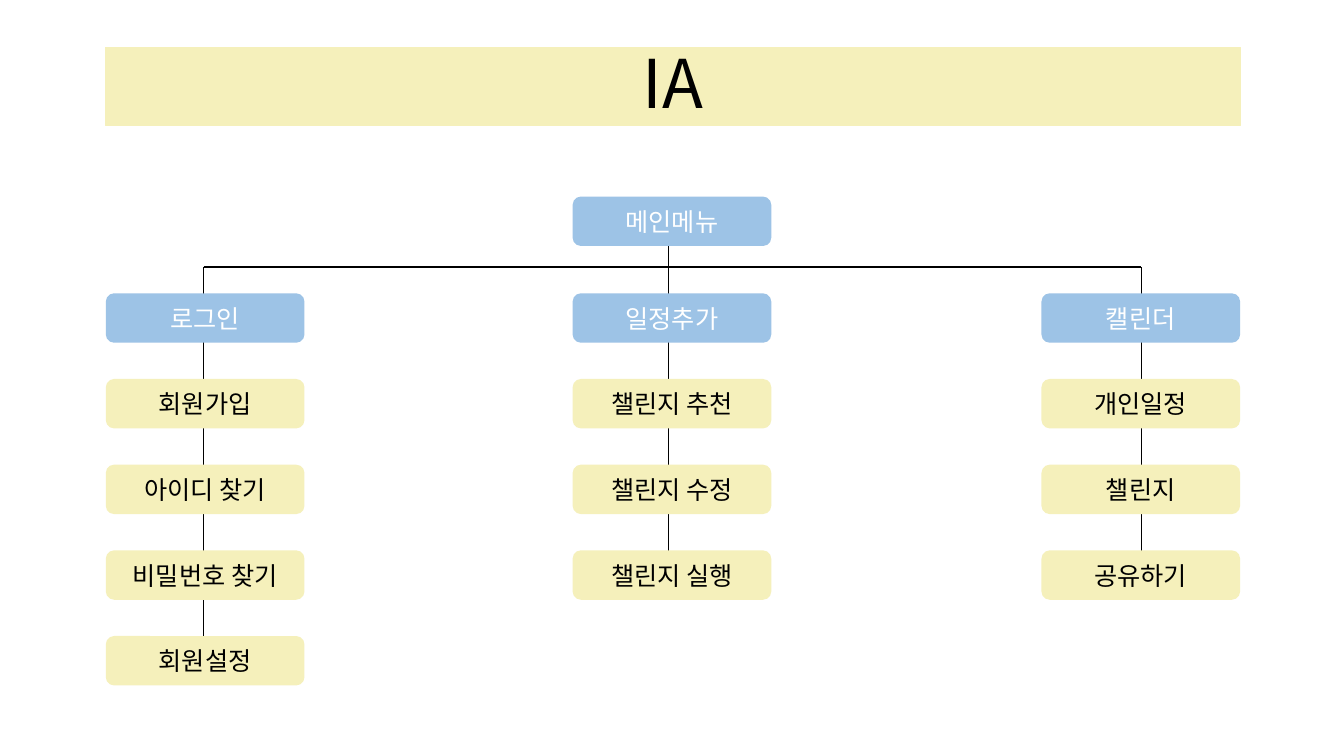
import pptx
import pptx.util
import pptx.dml.color
import pptx.enum.shapes
import pptx.enum.text
import pptx.oxml.ns
import lxml.etree

Inches = pptx.util.Inches
Pt = pptx.util.Pt
RGB = pptx.dml.color.RGBColor
KIND = pptx.enum.shapes.MSO_SHAPE

CREAM = RGB(0xF5, 0xF0, 0xBB)
BLUE = RGB(0x9D, 0xC3, 0xE6)
BLACK = RGB(0, 0, 0)
WHITE = RGB(0xFF, 0xFF, 0xFF)
FONT = "Noto Sans CJK KR"

BOX_W, BOX_H = 1.97, 0.49
STEP = 0.85
ROOT_TOP, HEAD_TOP, BUS = 1.95, 2.91, 2.65

# left edge, trunk x, trunk top, labels
COLUMNS = [
    (1.05, 2.02, BUS, ["로그인", "회원가입", "아이디 찾기", "비밀번호 찾기", "회원설정"]),
    (5.68, 6.63, 2.19, ["일정추가", "챌린지 추천", "챌린지 수정", "챌린지 실행"]),
    (10.33, 11.32, BUS, ["캘린더", "개인일정", "챌린지", "공유하기"]),
]


def add_label(slide, kind, box, text, fill, color, size):
    """Add a filled shape with one centred run and return it."""
    shape = slide.shapes.add_shape(kind, *[Inches(v) for v in box])
    shape.shadow.inherit = False
    shape.fill.solid()
    shape.fill.fore_color.rgb = fill
    shape.line.fill.background()
    frame = shape.text_frame
    frame.word_wrap = True
    frame.vertical_anchor = pptx.enum.text.MSO_ANCHOR.MIDDLE
    para = frame.paragraphs[0]
    para.alignment = pptx.enum.text.PP_ALIGN.CENTER
    run = para.add_run()
    run.text = text
    run.font.size = Pt(size)
    run.font.name = FONT
    run.font.color.rgb = color
    props = run._r.get_or_add_rPr()
    asian = lxml.etree.SubElement(props, pptx.oxml.ns.qn("a:ea"))
    asian.set("typeface", FONT)
    return shape


def add_line(slide, x1, y1, x2, y2):
    line = slide.shapes.add_connector(
        pptx.enum.shapes.MSO_CONNECTOR.STRAIGHT,
        Inches(x1), Inches(y1), Inches(x2), Inches(y2))
    line.line.color.rgb = BLACK
    line.line.width = Pt(1)
    props = line._element.spPr
    lxml.etree.SubElement(props, pptx.oxml.ns.qn("a:effectLst"))


def add_title(slide, box):
    bar = add_label(slide, KIND.RECTANGLE, box, "IA", CREAM, BLACK, 48)
    bar.line.color.rgb = CREAM
    bar.line.width = Pt(0.75)
    frame = bar.text_frame
    frame.margin_left = frame.margin_right = Inches(0.13)
    frame.margin_top = frame.margin_bottom = Inches(0.13)
    frame.paragraphs[0].line_spacing = 0.9


def add_branch(slide, left, top, trunk, start, labels):
    """Stack a blue head and its cream items over one vertical trunk."""
    end = top + STEP * (len(labels) - 1) + 0.31
    add_line(slide, trunk, start, trunk, end)
    for row, text in enumerate(labels):
        fill, color = (CREAM, BLACK) if row else (BLUE, WHITE)
        box = (left, top + STEP * row, BOX_W, BOX_H)
        add_label(slide, KIND.ROUNDED_RECTANGLE, box, text, fill, color, 18)


def add_tree(slide):
    add_line(slide, COLUMNS[0][1], BUS, COLUMNS[-1][1], BUS)
    for left, trunk, start, labels in COLUMNS:
        add_branch(slide, left, HEAD_TOP, trunk, start, labels)
    root = (COLUMNS[1][0], ROOT_TOP, BOX_W, BOX_H)
    add_label(slide, KIND.ROUNDED_RECTANGLE, root, "메인메뉴", BLUE, WHITE, 18)


def main():
    deck = pptx.Presentation()
    deck.slide_width = Inches(13.33)
    deck.slide_height = Inches(7.5)
    slide = deck.slides.add_slide(deck.slide_layouts[6])
    add_title(slide, (1.05, 0.47, 11.25, 0.78))
    add_tree(slide)
    deck.save("out.pptx")


if __name__ == "__main__":
    main()
